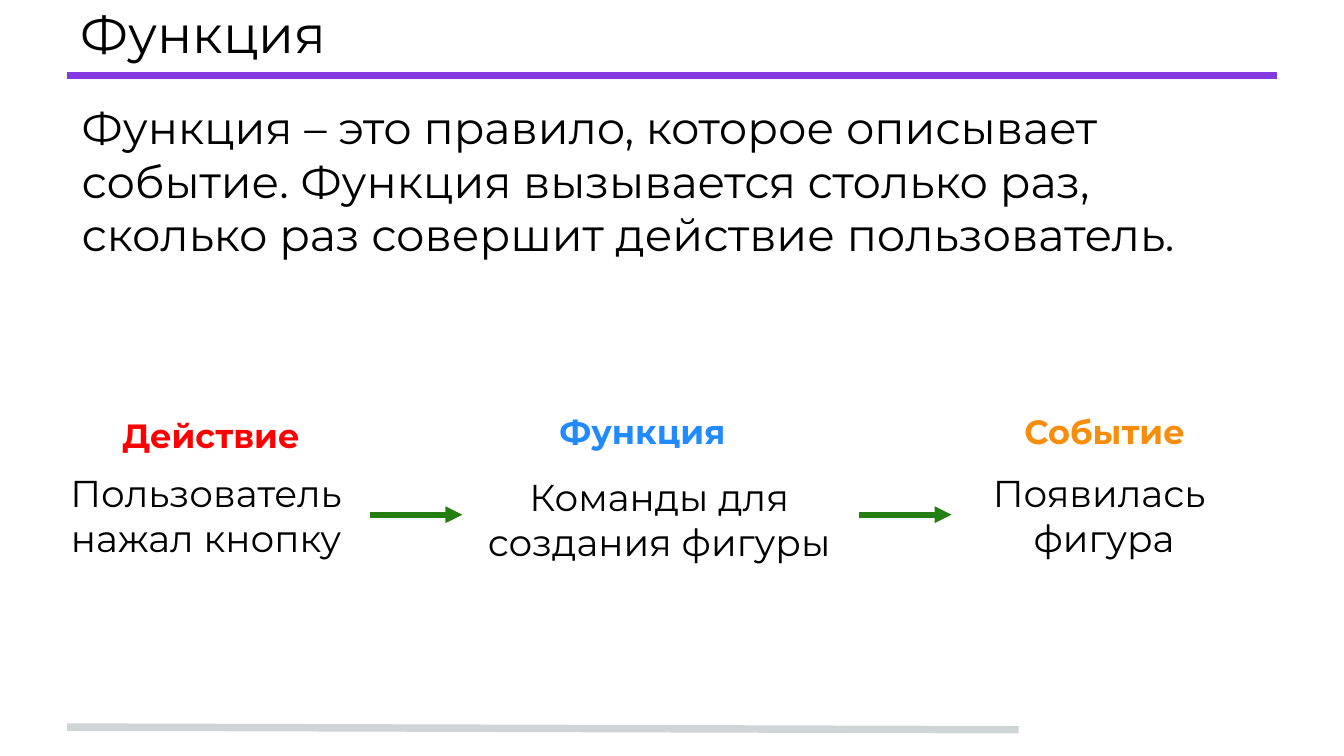
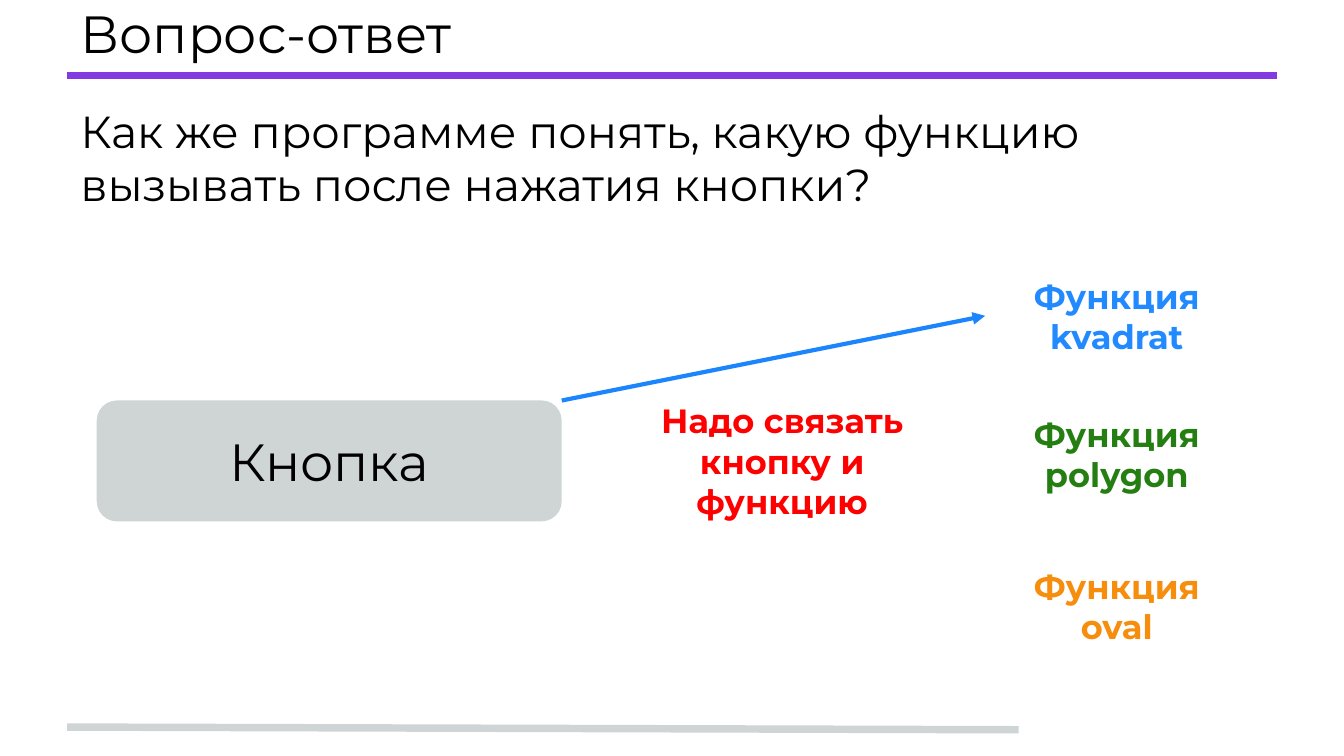
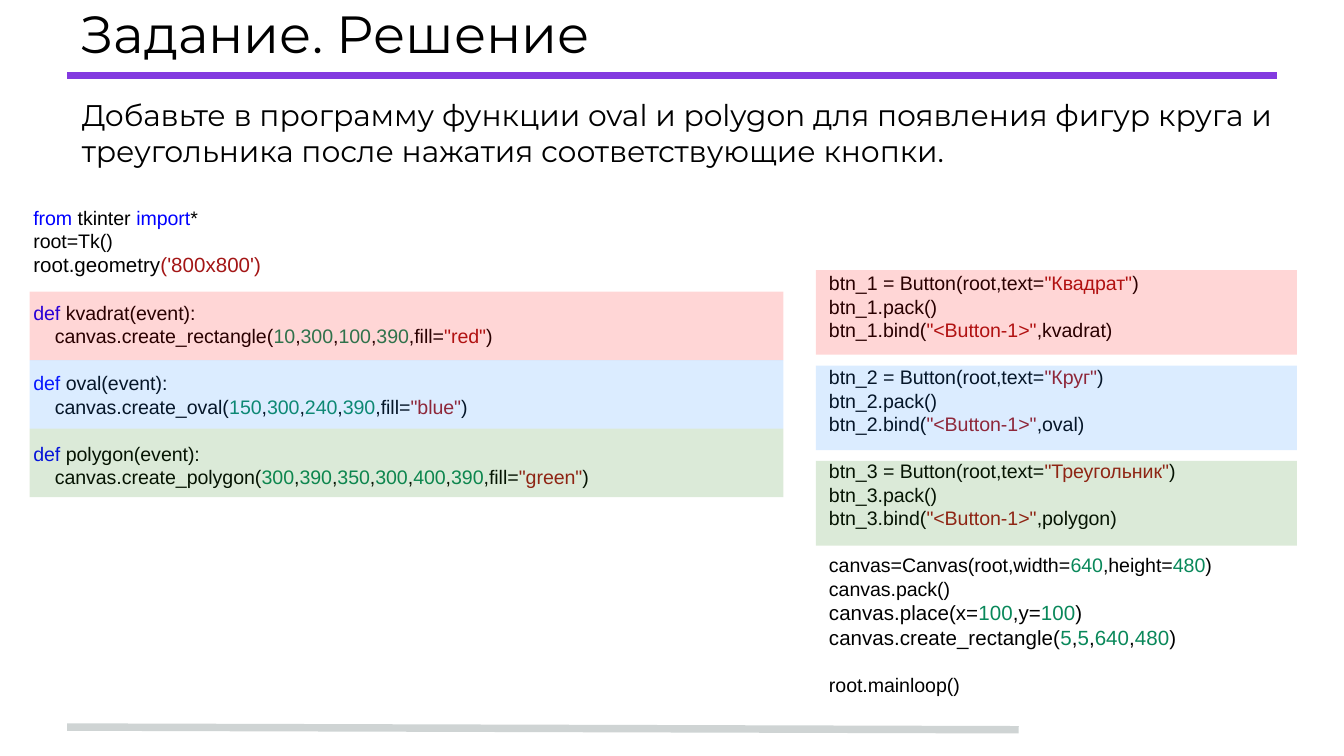
"""Build three slides about functions and button events."""
from lxml import etree
from pptx import Presentation
from pptx.dml.color import RGBColor
from pptx.enum import shapes, text
from pptx.oxml import ns
from pptx.util import Inches, Pt

BLACK = RGBColor(0x00, 0x00, 0x00)
GRAY = RGBColor(0xCF, 0xD4, 0xD4)
PURPLE = RGBColor(0x83, 0x3A, 0xE0)
RED = RGBColor(0xFF, 0x00, 0x00)
BLUE = RGBColor(0x22, 0x8A, 0xFF)
ARROW_BLUE = RGBColor(0x1B, 0x85, 0xFE)
GREEN = RGBColor(0x25, 0x7E, 0x12)
ORANGE = RGBColor(0xF6, 0x8D, 0x0C)
CODE_KEYWORD = RGBColor(0x00, 0x00, 0xFF)
CODE_STRING = RGBColor(0xA3, 0x15, 0x15)
CODE_NUMBER = RGBColor(0x09, 0x88, 0x5A)

FONT = "Montserrat"
CODE_FONT = "Arial"
KEYWORDS = {"from", "import", "def"}
LEFT, CENTER = text.PP_ALIGN.LEFT, text.PP_ALIGN.CENTER

FUNCTIONS_CODE = [
    ["from| tkinter |import|*", "root=Tk()", "root.geometry|('800x800')"],
    ["def| kvadrat(event):",
     "    canvas.create_rectangle(|10|,|300|,|100|,|390|,fill=|\"red\"|)"],
    ["def| oval(event):",
     "    canvas.create_oval(|150|,|300|,|240|,|390|,fill=|\"blue\"|)"],
    ["def| polygon(event):",
     "    canvas.create_polygon(|300|,|390|,|350|,|300|,|400|,|390|,fill=|\"green\"|)"],
]
BUTTONS = [("Квадрат", "kvadrat"), ("Круг", "oval"), ("Треугольник", "polygon")]
BUTTONS_CODE = [
    [f"btn_{n} = Button(root,text=|\"{label}\"|)",
     f"btn_{n}.pack()",
     f"btn_{n}.bind(|\"<Button-1>\"|,{function})"]
    for n, (label, function) in enumerate(BUTTONS, 1)
] + [
    ["canvas=Canvas(root,width=|640|,height=|480|)", "canvas.pack()",
     "canvas.place(x=|100|,y=|100|)",
     "canvas.create_rectangle(|5|,|5|,|640|,|480|)"],
    ["root.mainloop()"],
]
LARGER_LINES = ("root.geometry", "canvas.place", "canvas.create_rectangle(|5")


def style_run(r, size, color, bold=False, font=FONT):
    """Set the font of one run."""
    r.font.name, r.font.size, r.font.bold = font, Pt(size), bold
    r.font.color.rgb = color


def fill_text(tf, content, size, color=BLACK, bold=False, align=LEFT):
    """Write text in one style."""
    tf.word_wrap = True
    tf.text = content
    for p in tf.paragraphs:
        p.alignment = align
        for r in p.runs:
            style_run(r, size, color, bold)


def set_insets(tf, inset):
    """Give all four sides of a text frame the same inset."""
    tf.margin_left = tf.margin_right = Inches(inset)
    tf.margin_top = tf.margin_bottom = Inches(inset)


def indent(p, width):
    """Indent a whole paragraph from the left."""
    p._p.get_or_add_pPr().set("marL", str(Inches(width)))


def add_text(s, box, content, size, color=BLACK, bold=False, align=CENTER):
    """Add a text box and return its text frame."""
    tf = s.shapes.add_textbox(*map(Inches, box)).text_frame
    fill_text(tf, content, size, color, bold, align)
    return tf


def add_label(s, box, content, color):
    """Add a bold coloured caption."""
    add_text(s, box, content, 18, color, bold=True)


def add_body(s, box, content, size):
    """Add the lead paragraph below the title."""
    tf = add_text(s, box, content, size, align=LEFT)
    set_insets(tf, 0.1)
    tf.paragraphs[0].space_before = Pt(6)
    indent(tf.paragraphs[0], 0.01)


def add_line(s, start, end, color, width, arrow=False):
    """Add a straight line, with an arrowhead at its end if asked."""
    line = s.shapes.add_connector(
        shapes.MSO_CONNECTOR.STRAIGHT, *map(Inches, start + end))
    line.line.color.rgb, line.line.width = color, Pt(width)
    if arrow:
        etree.SubElement(line.line._get_or_add_ln(), ns.qn("a:tailEnd"), type="triangle")
    etree.SubElement(line.element.spPr, ns.qn("a:effectLst"))
    return line


def add_block(s, kind, box, color, opacity=100):
    """Add a filled shape without outline."""
    sp = s.shapes.add_shape(kind, *map(Inches, box))
    sp.shadow.inherit = False
    sp.fill.solid()
    sp.fill.fore_color.rgb = color
    sp.line.fill.background()
    if opacity < 100:
        clr = sp.element.spPr.find(".//" + ns.qn("a:srgbClr"))
        etree.SubElement(clr, ns.qn("a:alpha"), val=str(opacity * 1000))
    return sp


def add_bands(s, left, top, width, height, step):
    """Tint three stacked code groups in the colours of their figures."""
    for i, color in enumerate((RED, BLUE, GREEN)):
        add_block(s, shapes.MSO_SHAPE.RECTANGLE,
                  (left, top + i * step, width, height), color, opacity=16)


def code_color(token):
    """Choose the syntax colour of a token."""
    if token in KEYWORDS:
        return CODE_KEYWORD
    if token.isdigit():
        return CODE_NUMBER
    return CODE_STRING if "'" in token or '"' in token else BLACK


def add_code(s, box, groups):
    """Add groups of code lines, with tokens parted by bars."""
    tf = s.shapes.add_textbox(*map(Inches, box)).text_frame
    tf.word_wrap = True
    for g, lines in enumerate(groups):
        for i, line in enumerate(lines):
            p = tf.paragraphs[0] if g == i == 0 else tf.add_paragraph()
            if g and i == 0:
                p.space_before = Pt(12.6)
            if line.startswith("    "):
                indent(p, 0.16)
            size = 11 if line.startswith(LARGER_LINES) else 10.5
            for token in line.lstrip().split("|"):
                r = p.add_run()
                r.text = token
                style_run(r, size, code_color(token), font=CODE_FONT)


def add_slide(prs, title):
    """Add a slide with its title."""
    s = prs.slides.add_slide(prs.slide_layouts[5])
    sp = s.shapes.title
    sp.left, sp.top, sp.width, sp.height = map(Inches, (0.5, 0, 9, 0.49))
    tf = sp.text_frame
    fill_text(tf, title, 28)
    set_insets(tf, 0.1)
    tf.auto_size = text.MSO_AUTO_SIZE.NONE
    tf.vertical_anchor = text.MSO_ANCHOR.MIDDLE
    return s


def add_layout_rules(s):
    """Draw the title and footer rules and move them to the layout."""
    rules = (add_line(s, (0.5, 5.41), (7.58, 5.43), GRAY, 4),
             add_line(s, (0.5, 0.56), (9.5, 0.56), PURPLE, 4))
    for n, line in enumerate(rules, 20):
        line.element.nvCxnSpPr.cNvPr.set("id", str(n))
        s.slide_layout.shapes.element.append(line.element)


def build_function(prs):
    """Show how an action leads to an event through a function."""
    s = add_slide(prs, "Функция")
    add_layout_rules(s)
    add_body(s, (0.5, 0.64, 9, 0.89),
             "Функция – это правило, которое описывает событие. Функция вызывается "
             "столько раз, сколько раз совершит действие пользователь.", 24)
    steps = [
        ("Событие", ORANGE, (7.24, 3.01, 1.96, 0.4),
         "Появилась \nфигура", (6.61, 3.45, 3.21, 0.77)),
        ("Функция", BLUE, (3.8, 3.01, 1.96, 0.4),
         "Команды для создания фигуры", (3.2, 3.48, 3.41, 0.77)),
        ("Действие", RED, (0.78, 3.04, 1.58, 0.4),
         "Пользователь \vнажал кнопку ", (-0.21, 3.45, 3.56, 0.77)),
    ]
    for name, color, name_box, detail, detail_box in steps:
        add_text(s, detail_box, detail, 20)
        add_label(s, name_box, name, color)
    for x in (2.75, 6.39):
        add_line(s, (x, 3.83), (x + 0.69, 3.83), GREEN, 3, arrow=True)


def build_question(prs):
    """Ask which function belongs to the button."""
    s = add_slide(prs, "Вопрос-ответ")
    add_text(s, (0.5, 0.72, 9, 0.91),
             "Как же программе понять, какую функцию вызывать после нажатия кнопки?",
             24, align=LEFT)
    button = add_block(s, shapes.MSO_SHAPE.ROUNDED_RECTANGLE,
                       (0.72, 2.98, 3.46, 0.9), GRAY)
    fill_text(button.text_frame, "Кнопка", 28, align=CENTER)
    button.text_frame.vertical_anchor = text.MSO_ANCHOR.MIDDLE
    for name, color, y in (("kvadrat", BLUE, 2), ("polygon", GREEN, 3.03),
                           ("oval", ORANGE, 4.16)):
        add_label(s, (7.33, y, 1.96, 0.71), f"Функция {name}", color)
    add_label(s, (4.72, 2.93, 2.2, 1.01), "Надо связать кнопку и функцию", RED)
    add_line(s, (4.18, 2.98), (7.33, 2.35), ARROW_BLUE, 2.25, arrow=True)


def build_solution(prs):
    """Show the solution code with matching tinted groups."""
    s = add_slide(prs, "Задание. Решение")
    add_body(s, (0.5, 0.62, 9.35, 0.87),
             "Добавьте в программу функции oval и polygon для появления фигур круга и "
             "треугольника после нажатия соответствующие кнопки.", 16)
    add_code(s, (0.15, 1.48, 6.07, 2.57), FUNCTIONS_CODE)
    add_code(s, (6.07, 1.97, 3.93, 2.93), BUTTONS_CODE)
    add_bands(s, 0.22, 2.17, 5.61, 0.51, step=0.51)
    add_bands(s, 6.07, 2.01, 3.58, 0.63, step=0.71)


def main():
    """Build and save the presentation."""
    prs = Presentation()
    prs.slide_width, prs.slide_height = Inches(10), Inches(10 * 9 / 16)
    build_function(prs)
    build_question(prs)
    build_solution(prs)
    prs.save("out.pptx")


if __name__ == "__main__":
    main()
